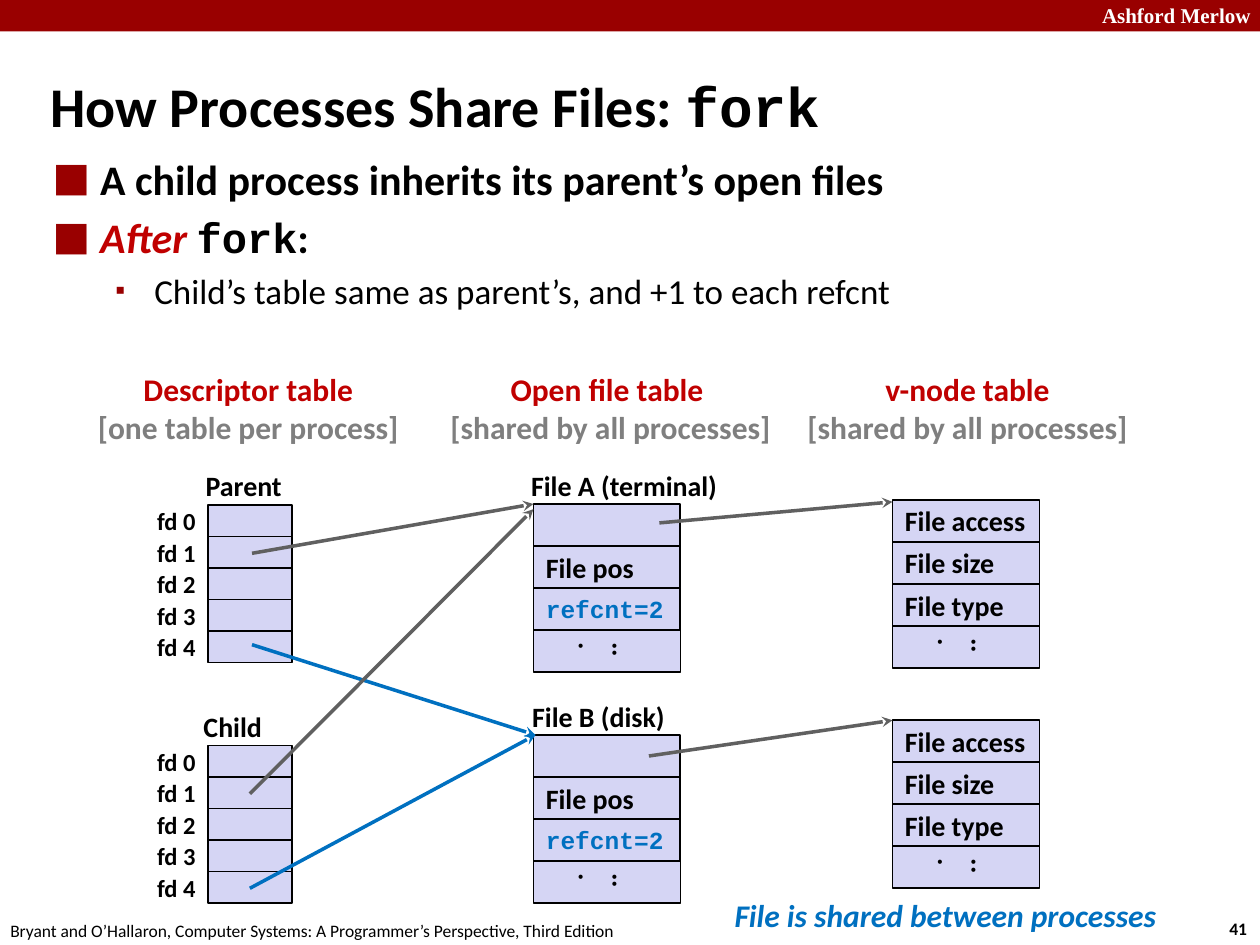
from lxml.etree import SubElement
from pptx import Presentation
from pptx.dml.color import RGBColor
from pptx.enum.shapes import MSO_CONNECTOR, MSO_SHAPE
from pptx.enum.text import MSO_ANCHOR, PP_ALIGN
from pptx.oxml.ns import qn
from pptx.util import Inches, Pt

# The slide is a grid of 120 columns by 90 rows
COLS, ROWS = 120, 90
UNIT = Inches(10) / COLS
BLACK, WHITE, GRAY, LINE_GRAY = "000000", "FFFFFF", "7F7F7F", "606060"
BANNER, RED, BLUE, CELL = "990000", "C00000", "0070C0", "D5D5F4"
SANS, MONO, SERIF = "Calibri", "Courier New", "Times New Roman"
FD_ROW, FILE_ROW, FILE_WIDTH = 3, 4, 14


def rgb(color):
    return RGBColor.from_string(color)


def grid(*lengths):
    return [round(n * UNIT) for n in lengths]


def add_run(p, text, size, color=BLACK, font=SANS, bold=True, italic=False):
    r = p.add_run()
    r.text = text
    r.font.size, r.font.name = Pt(size), font
    r.font.bold, r.font.italic = bold, italic
    r.font.color.rgb = rgb(color)


def add_text(s, box, *lines, align=PP_ALIGN.LEFT, anchor=MSO_ANCHOR.MIDDLE, wrap=True):
    """Each line is a list of runs, each run the arguments of add_run."""
    tf = s.shapes.add_textbox(*grid(*box)).text_frame
    tf.word_wrap, tf.vertical_anchor = wrap, anchor
    for i, runs in enumerate(lines):
        p = tf.paragraphs[0] if i == 0 else tf.add_paragraph()
        p.alignment = align
        for run in runs:
            add_run(p, *run)
    return tf


def add_box(s, box, fill, line=None, run=None, rotation=0):
    sp = s.shapes.add_shape(MSO_SHAPE.RECTANGLE, *grid(*box))
    sp.shadow.inherit = False
    sp.rotation = rotation
    sp.fill.solid()
    sp.fill.fore_color.rgb = rgb(fill)
    if line:
        sp.line.color.rgb, sp.line.width = rgb(line), Pt(1)
    else:
        sp.line.fill.background()
    if run:
        tf = sp.text_frame
        tf.word_wrap, tf.vertical_anchor = True, MSO_ANCHOR.MIDDLE
        tf.paragraphs[0].alignment = PP_ALIGN.LEFT
        add_run(tf.paragraphs[0], *run)


def add_arrow(s, start, end, color):
    c = s.shapes.add_connector(MSO_CONNECTOR.STRAIGHT, *grid(*start, *end))
    c.line.color.rgb, c.line.width = rgb(color), Pt(2)
    SubElement(c.line._get_or_add_ln(), qn("a:tailEnd"), type="stealth")
    SubElement(c._element.spPr, qn("a:effectLst"))


def set_bullet(p, char, percent, margin, indent, level=0, space=0):
    p.level, p.space_before = level, Pt(space)
    pPr = p._p.get_or_add_pPr()
    pPr.set("marL", str(Inches(margin)))
    pPr.set("indent", str(Inches(-indent)))
    color = SubElement(pPr, qn("a:buClr"))
    SubElement(color, qn("a:srgbClr"), val=BANNER)
    SubElement(pPr, qn("a:buSzPct"), val=str(percent * 1000))
    SubElement(pPr, qn("a:buFont"), typeface=SERIF)
    SubElement(pPr, qn("a:buChar"), char=char)


def add_frame(s):
    # Banner, page number and footer
    add_box(s, (0, 0, COLS, 3), BANNER)
    top = MSO_ANCHOR.TOP
    add_text(s, (103.7, -0.35, 16.6, 3.6), [("Ashford Merlow", 12, WHITE, SERIF)],
             align=PP_ALIGN.RIGHT, anchor=top)
    add_text(s, (115.9, 86.8, 4.4, 3.2), [("41", 10)], anchor=top)
    add_text(s, (-0.2, 87, 61, 3.2),
             [("Bryant and O’Hallaron, Computer Systems: A Programmer’s Perspective, "
               "Third Edition", 10, BLACK, SANS, False)], anchor=top)


def add_intro(s, title_box, body_box):
    add_text(s, title_box, [("How Processes Share Files: ", 32), ("fork", 32, BLACK, MONO)])
    tf = add_text(
        s, body_box,
        [("A child process inherits its parent’s open files", 24)],
        [("After ", 24, RED, SANS, True, True), ("fork", 24, BLACK, MONO), (":", 24)],
        [("Child’s table same as parent’s, and +1 to each refcnt", 20, BLACK, SANS, False)],
        anchor=MSO_ANCHOR.TOP)
    first, second, detail = tf.paragraphs
    set_bullet(first, "■", 150, 0.38, 0.38)
    set_bullet(second, "■", 150, 0.38, 0.38, space=4.8)
    set_bullet(detail, "▪", 80, 0.81, 0.31, level=1, space=4)


def add_heading(s, x, width, name, scope):
    add_text(s, (x, 34.6, width, 8.5), [(name, 18, RED)], [(scope, 18, GRAY)],
             align=PP_ALIGN.CENTER)


def add_label(s, x, y, width, text):
    add_text(s, (x, y, width, 4.4), [(text, 16)], wrap=False)


def add_descriptors(s, x, y):
    # Five descriptor slots with their names on the left
    for i in range(5):
        row = y + i * FD_ROW
        add_box(s, (x, row, 8, FD_ROW), CELL, BLACK)
        add_text(s, (x - 8, row, 8, FD_ROW), [(f"fd {i}", 14)], align=PP_ALIGN.RIGHT)


def add_record(s, x, y, fields):
    # Stacked fields, closed by a cell turned on its side with the dots
    for i, run in enumerate(fields):
        add_box(s, (x, y + i * FILE_ROW, FILE_WIDTH, FILE_ROW), CELL, BLACK, run)
    shift = (FILE_WIDTH - FILE_ROW) / 2
    last = y + len(fields) * FILE_ROW
    add_box(s, (x + shift, last - shift, FILE_ROW, FILE_WIDTH), CELL, BLACK,
            ("...", 16), rotation=90)


def add_tables(s, fd_x, file_x, node_x):
    add_heading(s, 8, 31.3, "Descriptor table", "[one table per process]")
    add_heading(s, 41.5, 33.3, "Open file table ", "[shared by all processes]")
    add_heading(s, 75.5, 33.3, "v-node table", "[shared by all processes]")

    for y in (48.1, 71):
        add_descriptors(s, fd_x, y)
    for y in (48, 70):
        add_record(s, file_x, y, [None, ("File pos", 16), ("refcnt=2", 14, BLUE, MONO)])
    for y in (47.6, 68.6):
        add_record(s, node_x, y, [(f"File {name}", 16) for name in ("access", "size", "type")])

    add_label(s, fd_x - 1.4, 44, 10.8, "Parent")
    add_label(s, fd_x - 1.6, 67, 8, "Child")
    add_label(s, file_x - 1.4, 44, 20.3, "File A (terminal)")
    add_label(s, file_x - 1.3, 66, 15.2, "File B (disk)")

    # Descriptors to open files, then open files to v-nodes
    for start, end, color in (
            ((24, 52.7), (file_x, 48), LINE_GRAY),
            ((24, 61.4), (file_x + 0.2, 70), BLUE),
            ((23.8, 75.6), (file_x, 48.5), LINE_GRAY),
            ((23.8, 84.6), (file_x + 0.2, 70), BLUE),
            ((62.8, 49.8), (node_x, 47.8), LINE_GRAY),
            ((61.8, 72), (node_x, 68.6), LINE_GRAY)):
        add_arrow(s, start, end, color)
    add_text(s, (68.5, 84.7, 43.1, 4.8),
             [("File is shared between processes", 18, BLUE, SANS, True, True)],
             align=PP_ALIGN.CENTER)


def main():
    prs = Presentation()
    prs.slide_width, prs.slide_height = grid(COLS, ROWS)
    s = prs.slides.add_slide(prs.slide_layouts[6])
    add_frame(s)
    add_intro(s, (3.6, 5, 99.6, 10), (3.8, 14, 109.1, 17))
    add_tables(s, fd_x=19.8, file_x=50.8, node_x=85)
    prs.save("out.pptx")


if __name__ == "__main__":
    main()
